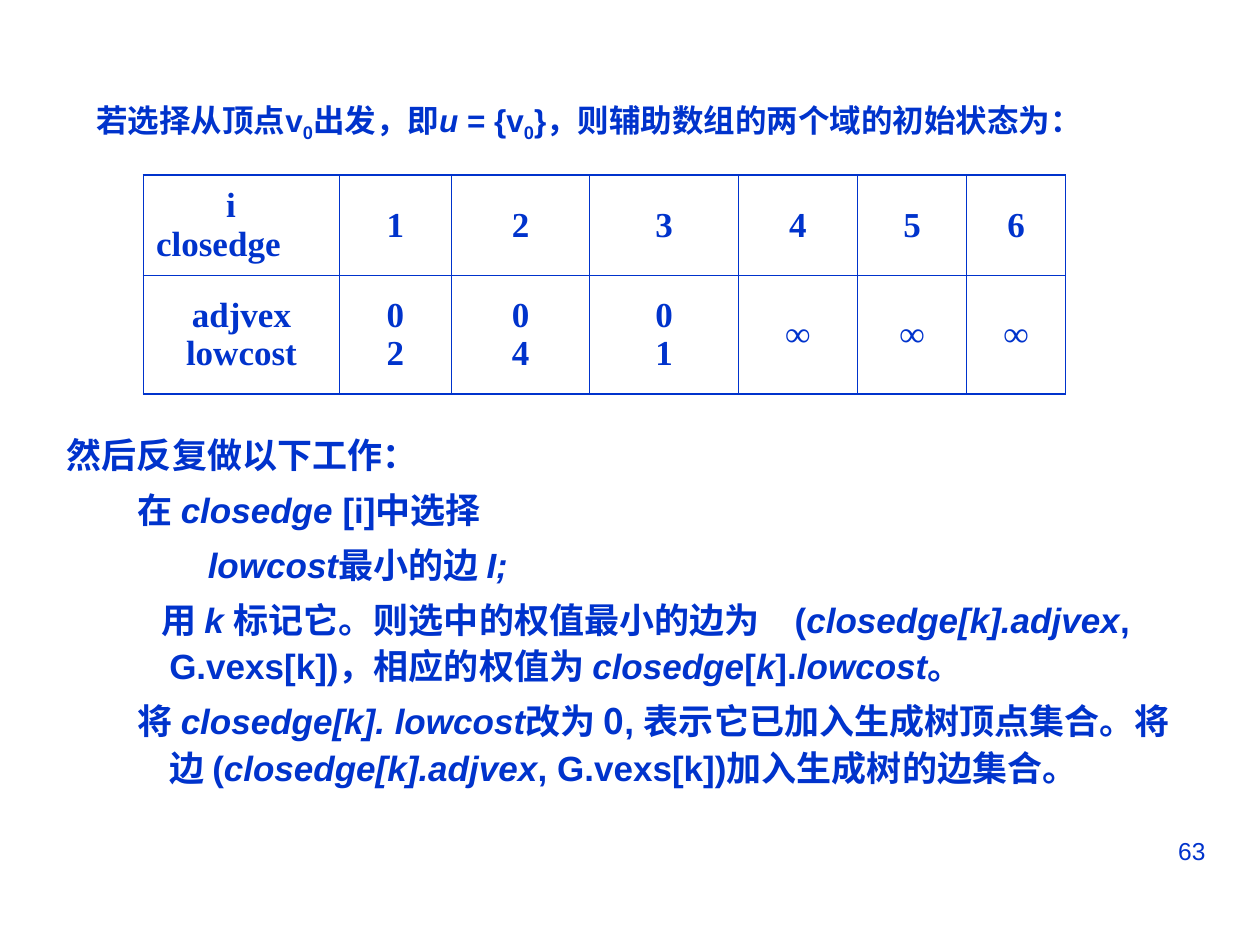
import dataclasses

import pptx
import pptx.dml.color
import pptx.enum.text
import pptx.oxml.ns
import pptx.util
from lxml import etree

Pt = pptx.util.Pt
ALIGN = pptx.enum.text.PP_ALIGN


@dataclasses.dataclass(frozen=True)
class Theme:
    """Colours, fonts and sizes of the slide."""
    blue: str = "0033CC"
    sans: str = "Arial"
    serif: str = "Times New Roman"
    chinese: str = "Noto Sans CJK SC"
    lead: int = 18
    body: int = 20
    number: int = 14
    outer_line: float = 1.08
    inner_line: float = 0.45


THEME = Theme()

LEAD = [("若选择从顶点v", ""), ("0", "sub"), ("出发，即", ""), ("u", "italic"),
        (" = {v", ""), ("0", "sub"), ("}，则辅助数组的两个域的初始状态为：", "")]

STEPS = [
    (0, 27, -27, [("然后反复做以下工作：", "")]),
    (1, 58.5, -18, [("在 ", ""), ("closedge ", "italic"), ("[i]中选择", "")]),
    (1, 58.5, 22, [("lowcost", "italic"), ("最小的边 ", ""), ("I;", "italic")]),
    (1, 58.5, -4.5, [
        ("用 ", ""), ("k ", "italic"), ("标记它。则选中的权值最小的边为　(", ""),
        ("closedge[k].adjvex", "italic"), (", G.vexs[k])，相应的权值为 ", ""),
        ("closedge", "italic"), ("[", ""), ("k", "italic"), ("].", ""),
        ("lowcost", "italic"), ("。", "")]),
    (1, 58.5, -18, [
        ("将 ", ""), ("closedge[k]. lowcost", "italic"), ("改为 ", ""),
        ("0", "chinese"), (", 表示它已加入生成树顶点集合。将边 (", ""),
        ("closedge[k].adjvex", "italic"), (", G.vexs[k])加入生成树的边集合。", "")]),
]

CLOSEDGE = [
    [["i", "closedge"], ["1"], ["2"], ["3"], ["4"], ["5"], ["6"]],
    [["adjvex", "lowcost"], ["0", "2"], ["0", "4"], ["0", "1"], ["∞"], ["∞"], ["∞"]],
]
COLUMN_WIDTHS = [112, 64, 79, 85, 68, 62.5, 56.5]
ROW_HEIGHTS = [57.5, 67.5]


def set_font(paragraph, name, size, bold=True):
    """Set the common font of a paragraph."""
    font = paragraph.font
    font.name, font.size, font.bold = name, Pt(size), bold
    font.color.rgb = pptx.dml.color.RGBColor.from_string(THEME.blue)
    east_asian = etree.SubElement(font._element, pptx.oxml.ns.qn("a:ea"))
    east_asian.set("typeface", THEME.chinese)


def add_runs(paragraph, pieces):
    """Add styled pieces of text to a paragraph."""
    for text, style in pieces:
        run = paragraph.add_run()
        run.text = text
        if style == "italic":
            run.font.italic = True
        elif style == "sub":
            run.font._element.set("baseline", "-25000")
        elif style == "chinese":
            run.font.name = THEME.chinese


def set_indent(paragraph, left, first):
    """Indent a paragraph and switch its bullet off."""
    properties = paragraph._p.get_or_add_pPr()
    properties.set("marL", str(Pt(left)))
    properties.set("indent", str(Pt(first)))
    etree.SubElement(properties, pptx.oxml.ns.qn("a:buNone"))


def add_line(slide, box):
    """Add a wrapping one-paragraph text box and return its paragraph."""
    frame = slide.shapes.add_textbox(*map(Pt, box)).text_frame
    frame.word_wrap = True
    return frame.paragraphs[0]


def add_lead(slide, box):
    """Place the sentence that introduces the table."""
    lead = add_line(slide, box)
    lead.line_spacing = 1.2
    set_font(lead, THEME.sans, THEME.lead)
    add_runs(lead, LEAD)


def add_steps(slide, box):
    """Fill the body placeholder with the repeated steps."""
    body = slide.placeholders[1]
    body.left, body.top, body.width, body.height = map(Pt, box)
    frame = body.text_frame
    frame.auto_size = pptx.enum.text.MSO_AUTO_SIZE.NONE
    for index, (level, left, first, pieces) in enumerate(STEPS):
        step = frame.add_paragraph() if index else frame.paragraphs[0]
        step.level = level
        set_indent(step, left, first)
        step.line_spacing = 1.1
        step.space_before = Pt(5 if index else 0)
        set_font(step, THEME.sans, THEME.body)
        add_runs(step, pieces)


def set_borders(cell, outer_sides):
    """Draw the four borders of a cell, heavier on the outer sides."""
    properties = cell._tc.get_or_add_tcPr()
    for side in "LRTB":
        width = THEME.outer_line if side in outer_sides else THEME.inner_line
        line = etree.SubElement(properties, pptx.oxml.ns.qn(f"a:ln{side}"), w=str(Pt(width)))
        fill = etree.SubElement(line, pptx.oxml.ns.qn("a:solidFill"))
        etree.SubElement(fill, pptx.oxml.ns.qn("a:srgbClr"), val=THEME.blue)


def add_closedge_table(slide, box):
    """Place the table with the initial state of closedge."""
    last_row, last_column = len(ROW_HEIGHTS) - 1, len(COLUMN_WIDTHS) - 1
    table = slide.shapes.add_table(last_row + 1, last_column + 1, *map(Pt, box)).table
    table.first_row = table.horz_banding = False
    for column, width in zip(table.columns, COLUMN_WIDTHS):
        column.width = Pt(width)
    for row, height in zip(table.rows, ROW_HEIGHTS):
        row.height = Pt(height)
    for r, entries in enumerate(CLOSEDGE):
        for c, lines in enumerate(entries):
            cell = table.cell(r, c)
            edges = {"L": c == 0, "R": c == last_column, "T": r == 0, "B": r == last_row}
            set_borders(cell, [side for side, outer in edges.items() if outer])
            cell.fill.background()
            cell.vertical_anchor = pptx.enum.text.MSO_ANCHOR.MIDDLE
            cell.text = "\n".join(lines)
            for entry in cell.text_frame.paragraphs:
                entry.alignment = ALIGN.LEFT if r == c == 0 else ALIGN.CENTER
                set_font(entry, THEME.serif, THEME.body)
    set_indent(table.cell(0, 0).text_frame.paragraphs[0], 40, 0)


def add_page_number(slide, box):
    """Place the page number."""
    number = add_line(slide, box)
    number.text = "63"
    number.alignment = ALIGN.RIGHT
    set_font(number, THEME.sans, THEME.number, bold=False)


def main():
    """Build the slide and save it."""
    deck = pptx.Presentation()
    deck.slide_width, deck.slide_height = Pt(720), Pt(540)
    slide = deck.slides.add_slide(deck.slide_layouts[1])
    title = slide.shapes.title._element
    title.getparent().remove(title)
    add_page_number(slide, (516, 474, 180, 37.5))
    add_steps(slide, (31, 242, 657.5, 238.5))
    add_closedge_table(slide, (82, 100, sum(COLUMN_WIDTHS), sum(ROW_HEIGHTS)))
    add_lead(slide, (48, 49, 629.5, 36.5))
    deck.save("out.pptx")


if __name__ == "__main__":
    main()
